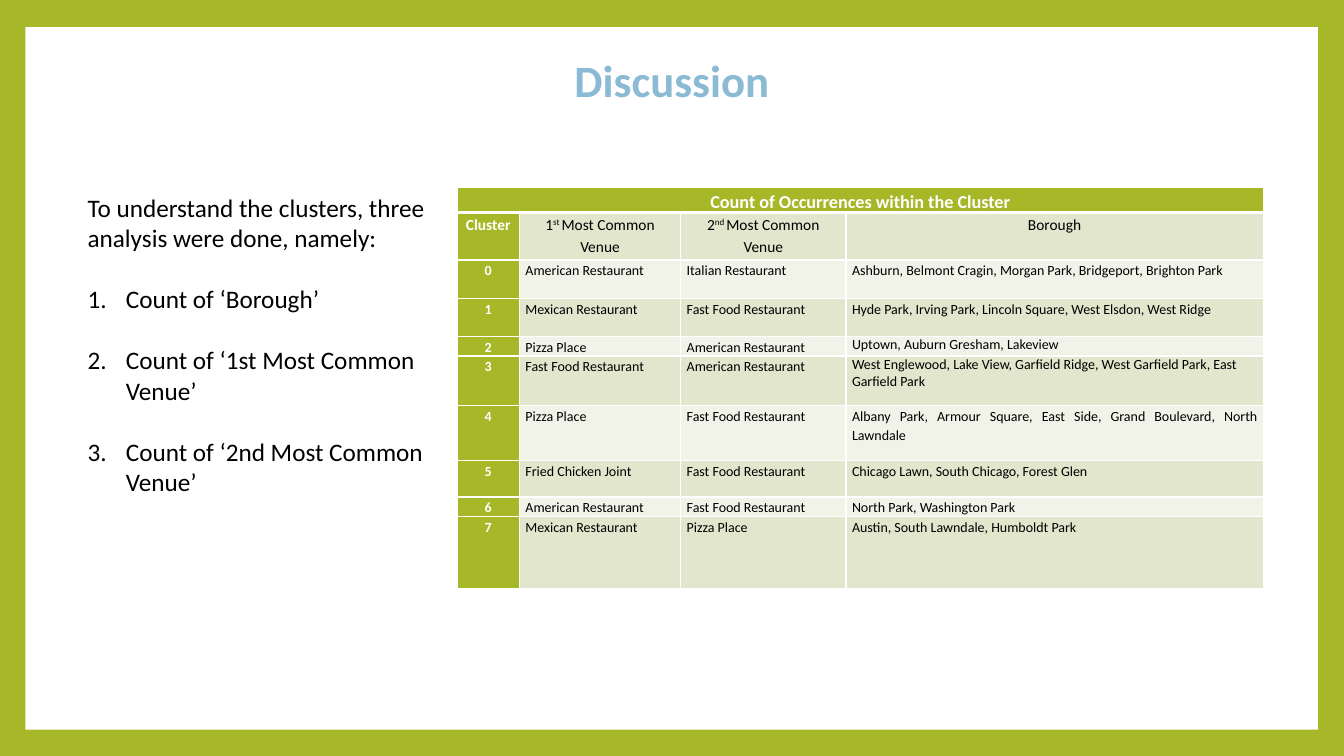
import pptx
import pptx.util
import pptx.dml.color
import pptx.enum.shapes
import pptx.enum.text
import pptx.oxml.ns
import lxml.etree

WIDE, HIGH = pptx.util.Inches(13.33), pptx.util.Inches(7.5)
FONT = "Calibri"
HUES = {
    "green": "A6B727",
    "white": "FFFFFF",
    "black": "000000",
    "blue": "8ABAD4",
    "pale": "F1F3E8",
    "sage": "E1E6CD",
}
ALIGN = pptx.enum.text.PP_ALIGN
TITLE = "Count of Occurrences within the Cluster"
HEADS = ["Cluster", "1^st ^Most Common Venue", "2^nd ^Most Common Venue", "Borough"]
VENUES = [
    ["American Restaurant", "Italian Restaurant",
     "Ashburn, Belmont Cragin, Morgan Park, Bridgeport, Brighton Park"],
    ["Mexican Restaurant", "Fast Food Restaurant",
     "Hyde Park, Irving Park, Lincoln Square, West Elsdon, West Ridge"],
    ["Pizza Place", "American Restaurant", "Uptown, Auburn Gresham, Lakeview"],
    ["Fast Food Restaurant", "American Restaurant",
     "West Englewood, Lake View, Garfield Ridge, West Garfield Park, East Garfield Park"],
    ["Pizza Place", "Fast Food Restaurant",
     "Albany Park, Armour Square, East Side, Grand Boulevard, North Lawndale"],
    ["Fried Chicken Joint", "Fast Food Restaurant",
     "Chicago Lawn, South Chicago, Forest Glen"],
    ["American Restaurant", "Fast Food Restaurant", "North Park, Washington Park"],
    ["Mexican Restaurant", "Pizza Place", "Austin, South Lawndale, Humboldt Park"],
]
COLS = [0.62, 1.6, 1.64, 4.14]
ROWS = [0.24, 0.47, 0.38, 0.38, 0.18, 0.49, 0.55, 0.36, 0.18, 0.72]
TIGHT = (2, 3)
POINTS = ["Count of ‘Borough’", "Count of ‘1st Most Common Venue’",
          "Count of ‘2nd Most Common Venue’"]


def tint(name):
    return pptx.dml.color.RGBColor.from_string(HUES[name])


def area(left, top, width, height):
    return (int(WIDE * left / 100), int(HIGH * top / 100),
            int(WIDE * width / 100), int(HIGH * height / 100))


def write(para, text, size=18, hue="black", bold=False, align=ALIGN.LEFT,
          lead=1.0, after=0):
    para.alignment = align
    para.line_spacing = lead
    para.space_before = pptx.util.Pt(0)
    para.space_after = pptx.util.Pt(after)
    for spot, part in enumerate(text.split("^")):
        run = para.add_run()
        run.text = part
        run.font.name = FONT
        run.font.size = pptx.util.Pt(size)
        run.font.bold = bold
        run.font.color.rgb = tint(hue)
        if spot % 2:
            run.font._element.set("baseline", "30000")


def number(para):
    props = para._p.get_or_add_pPr()
    inset = pptx.util.Inches(0.38)
    props.set("marL", str(inset))
    props.set("indent", str(-inset))
    mark = lxml.etree.SubElement(props, pptx.oxml.ns.qn("a:buAutoNum"))
    mark.set("type", "arabicPeriod")


def edge(cell, base=1):
    props = cell._tc.get_or_add_tcPr()
    for side, width in zip("LRTB", (1, 1, 1, base)):
        line = lxml.etree.SubElement(props, pptx.oxml.ns.qn("a:ln" + side))
        line.set("w", str(pptx.util.Pt(width)))
        fill = lxml.etree.SubElement(line, pptx.oxml.ns.qn("a:solidFill"))
        color = lxml.etree.SubElement(fill, pptx.oxml.ns.qn("a:srgbClr"))
        color.set("val", HUES["white"])


def fill_cell(cell, text, back, base=1, **style):
    edge(cell, base)
    cell.fill.solid()
    cell.fill.fore_color.rgb = tint(back)
    cell.margin_left = cell.margin_right = pptx.util.Inches(0.06)
    cell.margin_top = cell.margin_bottom = 0
    write(cell.text_frame.paragraphs[0], text, **style)


def add_title(slide, text):
    title = slide.shapes.title
    title.left, title.top, title.width, title.height = area(41.56, 6.27, 16.88, 8.53)
    frame = title.text_frame
    frame.word_wrap = False
    frame.vertical_anchor = pptx.enum.text.MSO_ANCHOR.TOP
    write(frame.paragraphs[0], text, size=32, hue="blue", bold=True, align=ALIGN.CENTER)


def add_panel(slide):
    panel = slide.shapes.add_shape(
        pptx.enum.shapes.MSO_SHAPE.RECTANGLE, *area(1.88, 3.6, 96.17, 92.93))
    panel.shadow.inherit = False
    panel.fill.solid()
    panel.fill.fore_color.rgb = tint("white")
    panel.line.fill.background()
    slide.shapes.title.element.addprevious(panel.element)


def add_list(slide, intro, points):
    frame = slide.shapes.add_textbox(*area(5.78, 24.8, 30.23, 45.73)).text_frame
    frame.word_wrap = True
    write(frame.paragraphs[0], intro, after=22)
    for point in points:
        para = frame.add_paragraph()
        write(para, point, after=0 if point == points[-1] else 22)
        number(para)


def add_grid(slide):
    place = area(34, 24.8, 60, 52.67)
    table = slide.shapes.add_table(len(ROWS), len(COLS), *place).table
    for col, share in zip(table.columns, COLS):
        col.width = int(place[2] * share / sum(COLS))
    for row, share in zip(table.rows, ROWS):
        row.height = int(place[3] * share / sum(ROWS))
    table.cell(0, 0).merge(table.cell(0, len(COLS) - 1))
    fill_cell(table.cell(0, 0), TITLE, "green", base=3, size=13, hue="white",
              bold=True, align=ALIGN.CENTER, lead=1.15)
    body = [[str(rank)] + venue for rank, venue in enumerate(VENUES)]
    for row, texts in enumerate([HEADS] + body, 1):
        for col, text in enumerate(texts):
            first, head, last = col == 0, row == 1, col == len(COLS) - 1
            back = "green" if first else "sage" if row % 2 else "pale"
            align = ALIGN.CENTER if first or head else ALIGN.LEFT
            if row > 5 and not first:
                align = ALIGN.JUSTIFY
            fill_cell(table.cell(row, col), text, back, size=11 if head else 10,
                      hue="white" if first else "black", bold=first, align=align,
                      lead=1.0 if last and row - 2 in TIGHT else 1.15)


def main():
    deck = pptx.Presentation()
    deck.slide_width, deck.slide_height = WIDE, HIGH
    slide = deck.slides.add_slide(deck.slide_layouts[5])
    slide.background.fill.solid()
    slide.background.fill.fore_color.rgb = tint("green")
    add_panel(slide)
    add_title(slide, "Discussion")
    add_list(slide, "To understand the clusters, three analysis were done, namely:", POINTS)
    add_grid(slide)
    deck.save("out.pptx")


if __name__ == "__main__":
    main()
